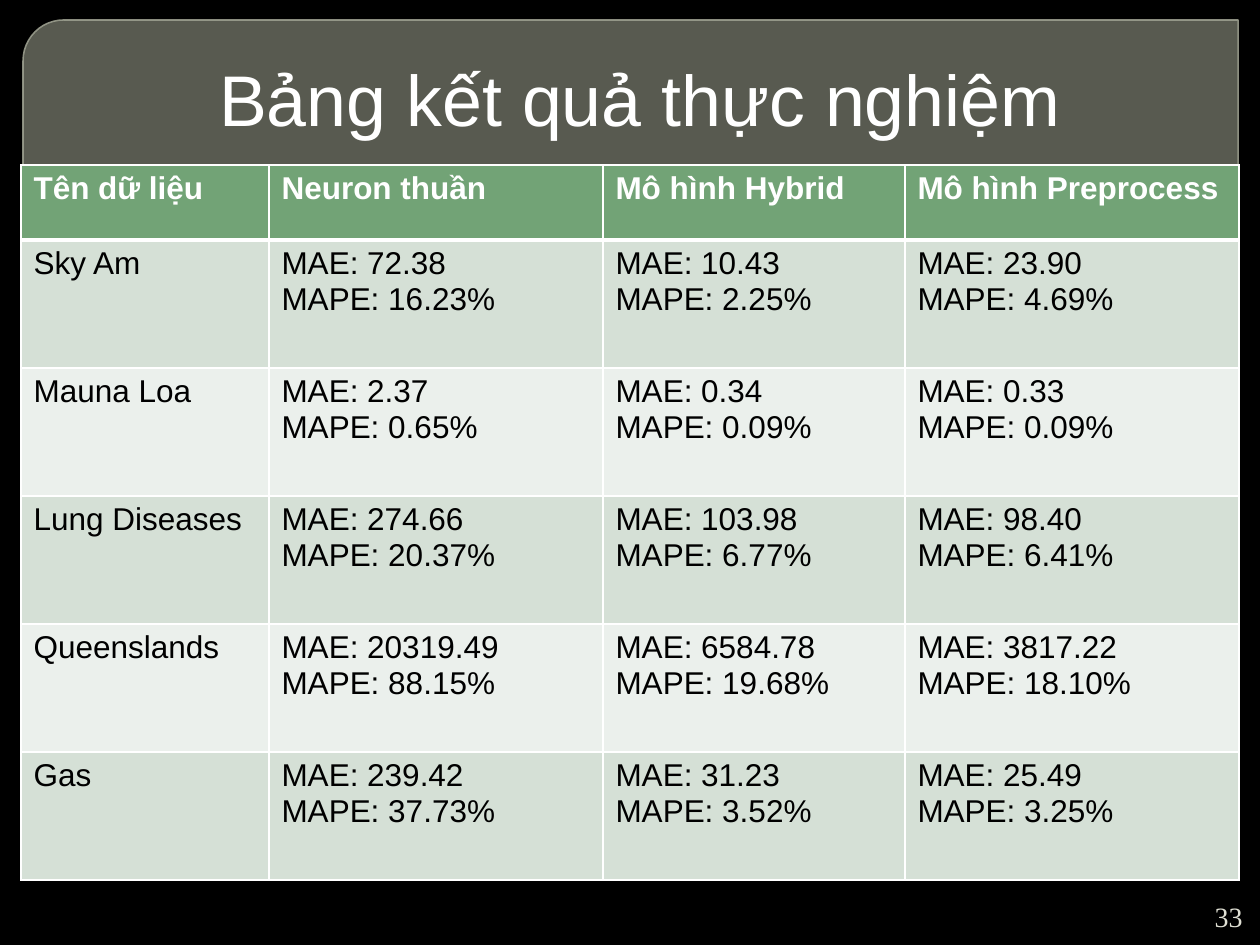
import pptx
import pptx.dml.color
import pptx.enum.shapes
import pptx.enum.text
import pptx.oxml
import pptx.oxml.ns
import pptx.util

RGBColor = pptx.dml.color.RGBColor
Align = pptx.enum.text.PP_ALIGN
Anchor = pptx.enum.text.MSO_ANCHOR

BLACK = RGBColor(0x00, 0x00, 0x00)
WHITE = RGBColor(0xFF, 0xFF, 0xFF)
PANEL_FILL = RGBColor(0x88, 0x8B, 0x7B)
PANEL_LINE = RGBColor(0x9D, 0xA0, 0x90)
NUMBER_COLOR = RGBColor(0xE0, 0xE0, 0xD4)
HEADER_FILL = RGBColor(0x72, 0xA3, 0x76)
BAND_FILLS = (RGBColor(0xEB, 0xF0, 0xEC), RGBColor(0xD5, 0xE0, 0xD6))

PX_PER_INCH = 126
EMU_PER_PX = 914400 / PX_PER_INCH

TITLE_FORMAT = {"name": "Arial", "size": pptx.util.Pt(41), "bold": False}
NUMBER_FORMAT = {"name": "Times New Roman", "size": pptx.util.Pt(16)}
HEADER_FORMAT = {"name": "Arial", "size": pptx.util.Pt(18), "bold": True}
BODY_FORMAT = {**HEADER_FORMAT, "bold": False}

COLUMN_WIDTHS = (248, 334, 302, 334)
HEADER_HEIGHT = 75
ROW_HEIGHT = 128
HEADERS = ("Tên dữ liệu", "Neuron thuần", "Mô hình Hybrid", "Mô hình Preprocess")
RESULTS = (
    ("Sky Am", ("72.38", "16.23"), ("10.43", "2.25"), ("23.90", "4.69")),
    ("Mauna Loa", ("2.37", "0.65"), ("0.34", "0.09"), ("0.33", "0.09")),
    ("Lung Diseases", ("274.66", "20.37"), ("103.98", "6.77"), ("98.40", "6.41")),
    ("Queenslands", ("20319.49", "88.15"), ("6584.78", "19.68"), ("3817.22", "18.10")),
    ("Gas", ("239.42", "37.73"), ("31.23", "3.52"), ("25.49", "3.25")),
)


def px(length):
    return pptx.util.Emu(round(length * EMU_PER_PX))


def set_attributes(target, values):
    for name, value in values.items():
        setattr(target, name, value)


def write_text(text_frame, text, color, font_format, alignment=Align.LEFT):
    text_frame.text = text
    for paragraph in text_frame.paragraphs:
        paragraph.alignment = alignment
        for run in paragraph.runs:
            set_attributes(run.font, font_format)
            run.font.color.rgb = color


def set_alpha(color_format_parent, percent):
    color = next(color_format_parent.iter(pptx.oxml.ns.qn("a:srgbClr")))
    alpha = color.makeelement(pptx.oxml.ns.qn("a:alpha"), {"val": str(percent * 1000)})
    color.append(alpha)


def set_borders(cell, widths):
    properties = cell._tc.get_or_add_tcPr()
    for index, (side, width) in enumerate(widths.items()):
        border = pptx.oxml.parse_xml(
            f'<a:ln{side} {pptx.oxml.ns.nsdecls("a")} w="{pptx.util.Pt(width)}">'
            f'<a:solidFill><a:srgbClr val="{WHITE}"/></a:solidFill>'
            f'<a:prstDash val="solid"/></a:ln{side}>'
        )
        properties.insert(index, border)


def add_panel(slide, left, top, width, height):
    panel = slide.shapes.add_shape(
        pptx.enum.shapes.MSO_SHAPE.ROUND_2_DIAG_RECTANGLE,
        px(left), px(top), px(width), px(height),
    )
    panel.adjustments[0] = 0.118
    panel.adjustments[1] = 0
    panel.shadow.inherit = False
    panel.fill.solid()
    panel.fill.fore_color.rgb = PANEL_FILL
    panel.line.color.rgb = PANEL_LINE
    panel.line.width = pptx.util.Pt(0.87)
    properties = panel.element.spPr
    set_alpha(properties.find(pptx.oxml.ns.qn("a:solidFill")), 65)
    set_alpha(properties.find(pptx.oxml.ns.qn("a:ln")), 88)


def place_title(slide, left, top, width, height):
    title = slide.shapes.title
    set_attributes(title, {
        "left": px(left), "top": px(top), "width": px(width), "height": px(height),
    })
    set_attributes(title.text_frame, {
        "word_wrap": True,
        "auto_size": pptx.enum.text.MSO_AUTO_SIZE.NONE,
        "vertical_anchor": Anchor.TOP,
    })
    write_text(title.text_frame, "Bảng kết quả thực nghiệm", WHITE, TITLE_FORMAT, Align.CENTER)
    title.element.getparent().append(title.element)


def add_page_number(slide, left, top, width, height):
    box = slide.shapes.add_textbox(px(left), px(top), px(width), px(height))
    set_attributes(box.text_frame, {"word_wrap": True, "vertical_anchor": Anchor.MIDDLE})
    write_text(box.text_frame, "33", NUMBER_COLOR, NUMBER_FORMAT, Align.RIGHT)


def table_texts():
    yield HEADERS
    for name, *scores in RESULTS:
        yield (name, *(f"MAE: {mae}\nMAPE: {mape}%" for mae, mape in scores))


def add_results_table(slide, left, top):
    row_heights = [HEADER_HEIGHT] + [ROW_HEIGHT] * len(RESULTS)
    frame = slide.shapes.add_table(
        len(row_heights), len(COLUMN_WIDTHS),
        px(left), px(top), px(sum(COLUMN_WIDTHS)), px(sum(row_heights)),
    )
    table = frame.table
    set_attributes(table, {"first_row": False, "horz_banding": False})
    for column, width in zip(table.columns, COLUMN_WIDTHS):
        column.width = px(width)
    for row_index, texts in enumerate(table_texts()):
        row = table.rows[row_index]
        row.height = px(row_heights[row_index])
        is_header = row_index == 0
        fill = HEADER_FILL if is_header else BAND_FILLS[row_index % 2]
        color = WHITE if is_header else BLACK
        font_format = HEADER_FORMAT if is_header else BODY_FORMAT
        borders = {"L": 1, "R": 1, "T": 3 if row_index == 1 else 1, "B": 3 if is_header else 1}
        for cell, text in zip(row.cells, texts):
            cell.fill.solid()
            cell.fill.fore_color.rgb = fill
            write_text(cell.text_frame, text, color, font_format)
            set_borders(cell, borders)


def build_results_slide(presentation):
    slide = presentation.slides.add_slide(presentation.slide_layouts.get_by_name("Title Only"))
    slide.background.fill.solid()
    slide.background.fill.fore_color.rgb = BLACK
    add_panel(slide, 23, 20, 1215, 345)
    add_page_number(slide, 1191, 897, 64, 38)
    add_results_table(slide, 21, 165)
    place_title(slide, 63, 48, 1155, 100)


def main():
    presentation = pptx.Presentation()
    set_attributes(presentation, {"slide_width": px(1260), "slide_height": px(945)})
    build_results_slide(presentation)
    presentation.save("out.pptx")


if __name__ == "__main__":
    main()
